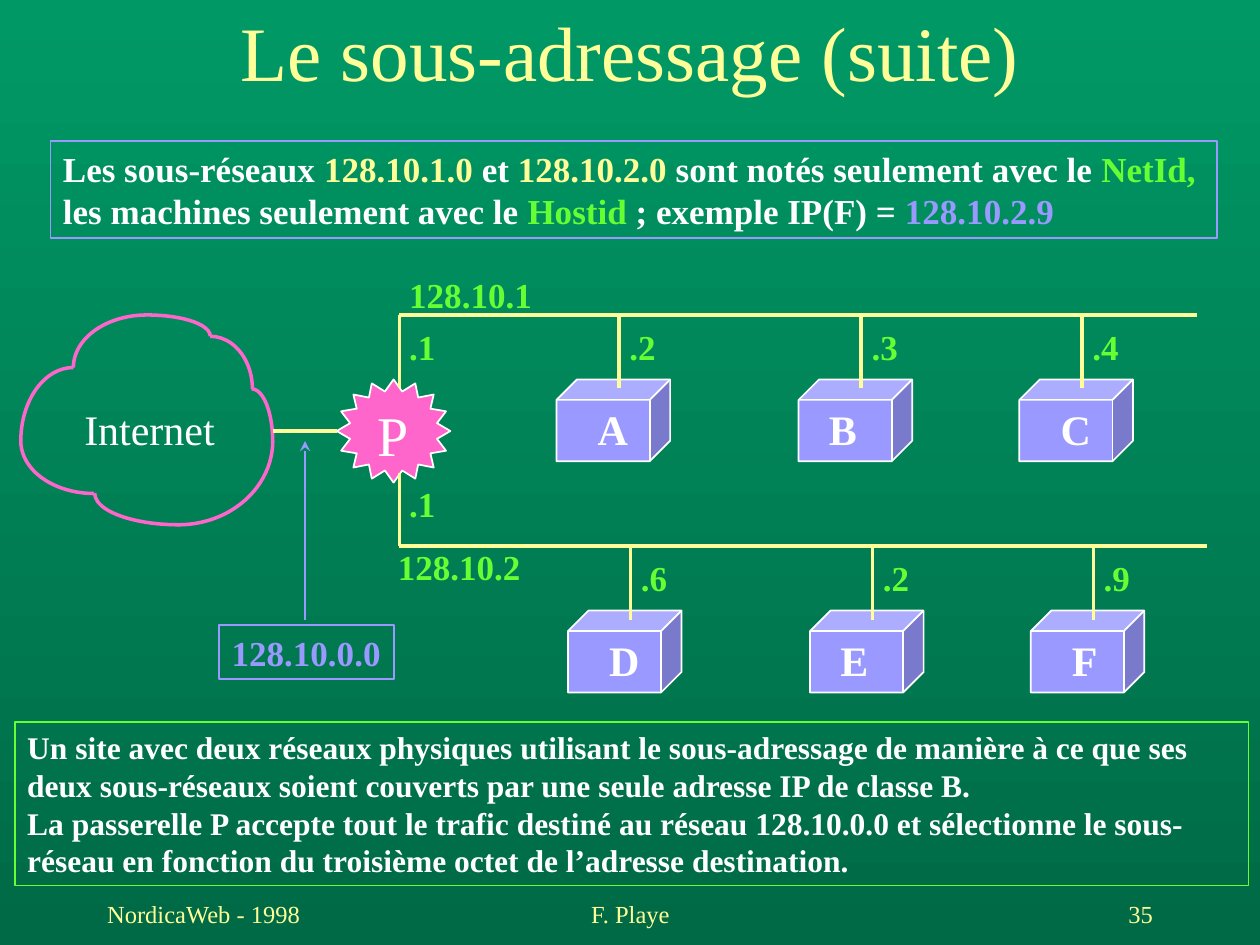
import pptx
import pptx.util
import pptx.dml.color
import pptx.enum.shapes
import pptx.enum.text
import pptx.oxml.ns
import lxml.etree

Cm, Pt = pptx.util.Cm, pptx.util.Pt
PRESET = pptx.enum.shapes.MSO_SHAPE
ALIGN = pptx.enum.text.PP_ALIGN
ANCHOR = pptx.enum.text.MSO_ANCHOR

FONT = "Times New Roman"
COLORS = {
    "top": "009966", "bottom": "006A46", "yellow": "FFFF99", "white": "FFFFFF",
    "green": "66FF33", "violet": "9999FF", "pink": "FF66CC",
}

# Content: each paragraph is a list of (text, color) runs
TITLE = "Le sous-adressage (suite)"
INTRO = [
    [("Les sous-réseaux ", "white"), ("128.10.1.0 ", "yellow"), ("et ", "white"),
     ("128.10.2.0", "yellow"), (" sont notés seulement avec le ", "white"),
     ("NetId,", "green")],
    [("les machines seulement avec le ", "white"), ("Hostid ", "green"),
     ("; exemple IP(F) = ", "white"), ("128.10.2.9", "violet")],
]
EXPLANATION = [
    [("Un site avec deux réseaux physiques utilisant le sous-adressage de manière à ce "
      "que ses deux sous-réseaux soient couverts par une seule adresse IP de classe B.",
      "white")],
    [("La passerelle P accepte tout le trafic destiné au réseau 128.10.0.0 et "
      "sélectionne le sous-réseau en fonction du troisième octet de l’adresse "
      "destination.", "white")],
]
FOOTERS = [  # text, left, width, alignment
    ("NordicaWeb - 1998", 1.91, 5.28, ALIGN.LEFT),
    ("F. Playe", 8.69, 8.04, ALIGN.CENTER),
    ("35", 18.21, 5.28, ALIGN.RIGHT),
]
NETWORKS = [
    {"bus": 6.35, "end": 24.13, "shift": 0, "hosts": [("A", ".2"), ("B", ".3"), ("C", ".4")]},
    {"bus": 11.01, "end": 24.34, "shift": 0.23, "hosts": [("D", ".6"), ("E", ".2"), ("F", ".9")]},
]
HOST_COLUMNS = [(11.22, 0.58), (16.1, 0.36), (20.55, 0.58)]  # cube left, letter inset
CLOUD_ARCS = [  # left, top, width, height of the ellipse, start angle of its quarter
    (1.7, 6.35, 2.54, 0.85, 270), (3.39, 6.78, 1.7, 2.12, 270),
    (4.65, 7.84, 0.85, 2.12, 270), (1.48, 6.35, 2.96, 2.12, 180),
    (0.42, 7.41, 2.12, 2.96, 180), (0.42, 7.83, 2.96, 2.12, 90),
    (1.91, 9.31, 3.39, 1.27, 90), (1.69, 7.19, 3.81, 3.39, 0),
]
GATEWAY_X = 8.05
GATEWAY_Y = 8.69
NETWORK_LABELS = [  # text, left, top, width
    ("128.10.1", 8, 5.38, 3), ("128.10.2", 7.77, 10.87, 3),
    (".1", 8, 6.43, 1.04), (".1", 8, 9.6, 1.04),
]

presentation = pptx.Presentation()
presentation.slide_width, presentation.slide_height = Cm(25.4), Cm(19.05)
slide = presentation.slides.add_slide(presentation.slide_layouts[5])


def rgb(name):
    return pptx.dml.color.RGBColor.from_string(COLORS[name])


def write(shape, paragraphs, size, bold=False, wrap=False, align=ALIGN.LEFT, anchor=ANCHOR.TOP):
    frame = shape.text_frame
    frame.word_wrap = wrap
    frame.vertical_anchor = anchor
    for index, runs in enumerate(paragraphs):
        paragraph = frame.add_paragraph() if index else frame.paragraphs[0]
        paragraph.alignment = align
        for text, color in runs:
            run = paragraph.add_run()
            run.text = text
            run.font.name, run.font.size, run.font.bold = FONT, Pt(size), bold
            run.font.color.rgb = rgb(color)


def add_text(box, text, color, size, **options):
    shape = slide.shapes.add_textbox(*map(Cm, box))
    write(shape, [[(text, color)]], size, **options)


def add_preset(preset, box, line, width=1, fill=None):
    shape = slide.shapes.add_shape(preset, *map(Cm, box))
    shape.shadow.inherit = False
    if fill:
        shape.fill.solid()
        shape.fill.fore_color.rgb = rgb(fill)
    else:
        shape.fill.background()
    shape.line.color.rgb = rgb(line)
    shape.line.width = Pt(width)
    return shape


def add_line(x1, y1, x2, y2, color="yellow", width=2):
    line = slide.shapes.add_connector(
        pptx.enum.shapes.MSO_CONNECTOR.STRAIGHT, Cm(x1), Cm(y1), Cm(x2), Cm(y2))
    line.line.color.rgb = rgb(color)
    line.line.width = Pt(width)
    lxml.etree.SubElement(line._element.spPr, pptx.oxml.ns.qn("a:effectLst"))
    return line


# Background
background = slide.background.fill
background.gradient()
background.gradient_angle = 270
for stop, name in zip(background.gradient_stops, ("top", "bottom")):
    stop.color.rgb = rgb(name)

# Title
title = slide.shapes.title
title.left, title.top, title.width, title.height = Cm(0), Cm(0.15), Cm(25.4), Cm(1.76)
write(title, [[(TITLE, "yellow")]], 44, wrap=True, align=ALIGN.CENTER, anchor=ANCHOR.MIDDLE)

# Framed texts
write(add_preset(PRESET.RECTANGLE, (0.3, 14.55, 24.87, 3.3), "green"),
      EXPLANATION, 18, bold=True, wrap=True)
write(add_preset(PRESET.RECTANGLE, (1.02, 2.84, 23.52, 1.96), "violet"),
      INTRO, 20, bold=True)

# Internet cloud made of quarter ellipses
for *box, start in CLOUD_ARCS:
    arc = add_preset(PRESET.ARC, box, "pink", 2)
    arc.adjustments[0] = start * 0.6
    arc.adjustments[1] = (start + 90) % 360 * 0.6
add_text((1.45, 8, 3.15, 1.27), "Internet", "white", 24)

# Networks with their hosts
for network in NETWORKS:
    bus = network["bus"]
    add_line(GATEWAY_X, bus, network["end"], bus)
    for (column, inset), (letter, number) in zip(HOST_COLUMNS, network["hosts"]):
        left = column + network["shift"]
        drop = left + 1.26
        add_preset(PRESET.CUBE, (left, bus + 1.3, 2.29, 1.65), "white", fill="violet")
        add_line(drop, bus, drop, bus + 1.48)
        add_text((left + inset, bus + 1.65, 1.1, 1.27), letter, "white", 24, bold=True)
        add_text((drop - 0.04, bus + 0.08, 1.04, 1.09), number, "green", 20, bold=True)

# Gateway and its links
star = add_preset(PRESET.STAR_16_POINT, (6.79, 7.65, 2.29, 2.08), "white", fill="pink")
star.adjustments[0] = 0.39
add_line(GATEWAY_X, 6.35, GATEWAY_X, 7.83)
add_line(GATEWAY_X, 9.53, GATEWAY_X, 11.01)
add_line(5.5, GATEWAY_Y, 6.79, GATEWAY_Y)
add_text((7.37, 7.95, 1.14, 1.6), "P", "white", 32)
for text, left, top, width in NETWORK_LABELS:
    add_text((left, top, width, 1.09), text, "green", 20, bold=True)

# Site address and its arrow
write(add_preset(PRESET.RECTANGLE, (4.42, 12.6, 3.53, 1.09), "violet"),
      [[("128.10.0.0", "violet")]], 20, bold=True)
arrow = add_line(6.15, 12.5, 6.15, 8.89, "violet", 1)
lxml.etree.SubElement(arrow.line._get_or_add_ln(), pptx.oxml.ns.qn("a:tailEnd"), type="stealth")

# Footer
for text, left, width, align in FOOTERS:
    add_text((left, 17.78, width, 1.27), text, "yellow", 14,
             wrap=True, align=align, anchor=ANCHOR.MIDDLE)

presentation.save("out.pptx")
